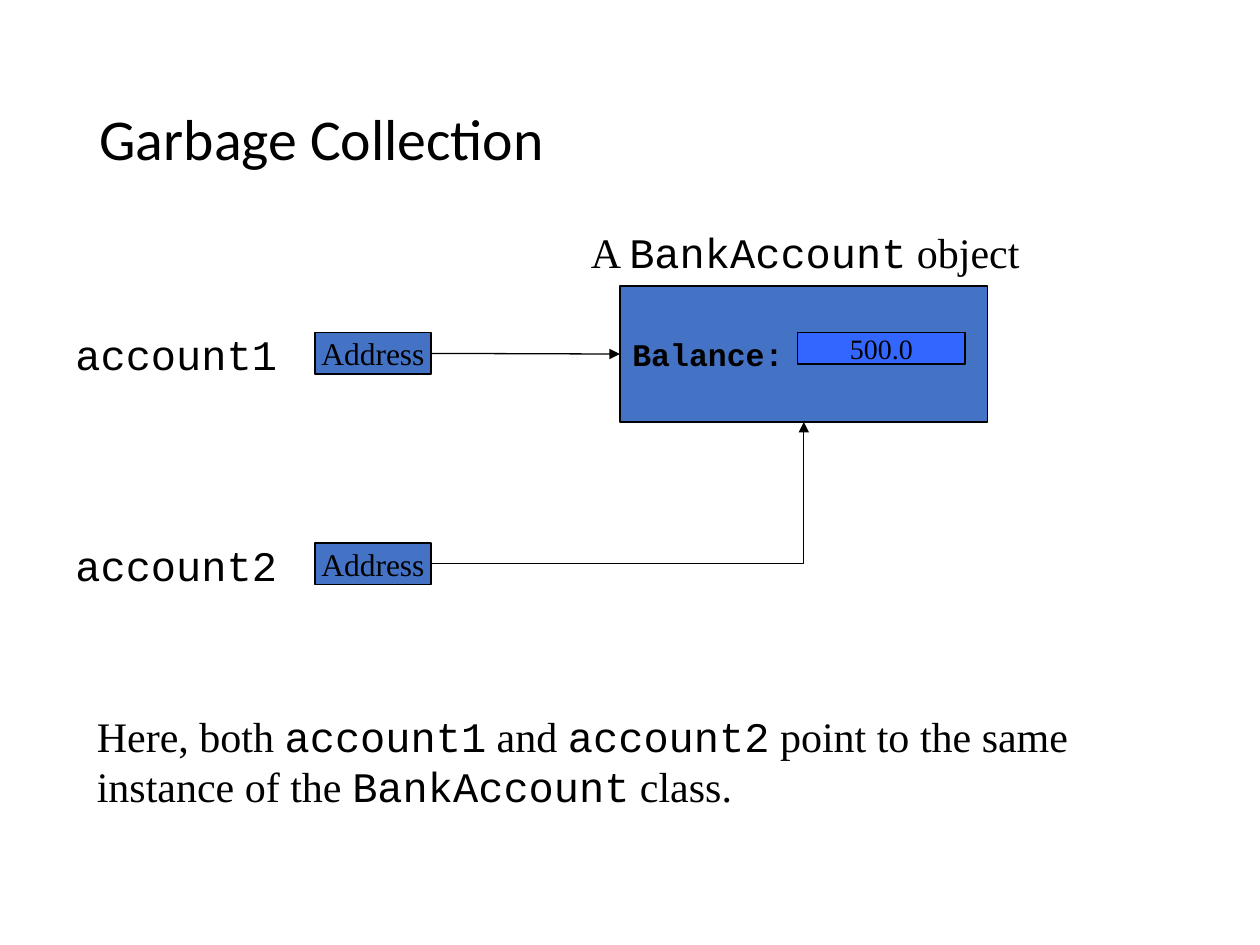
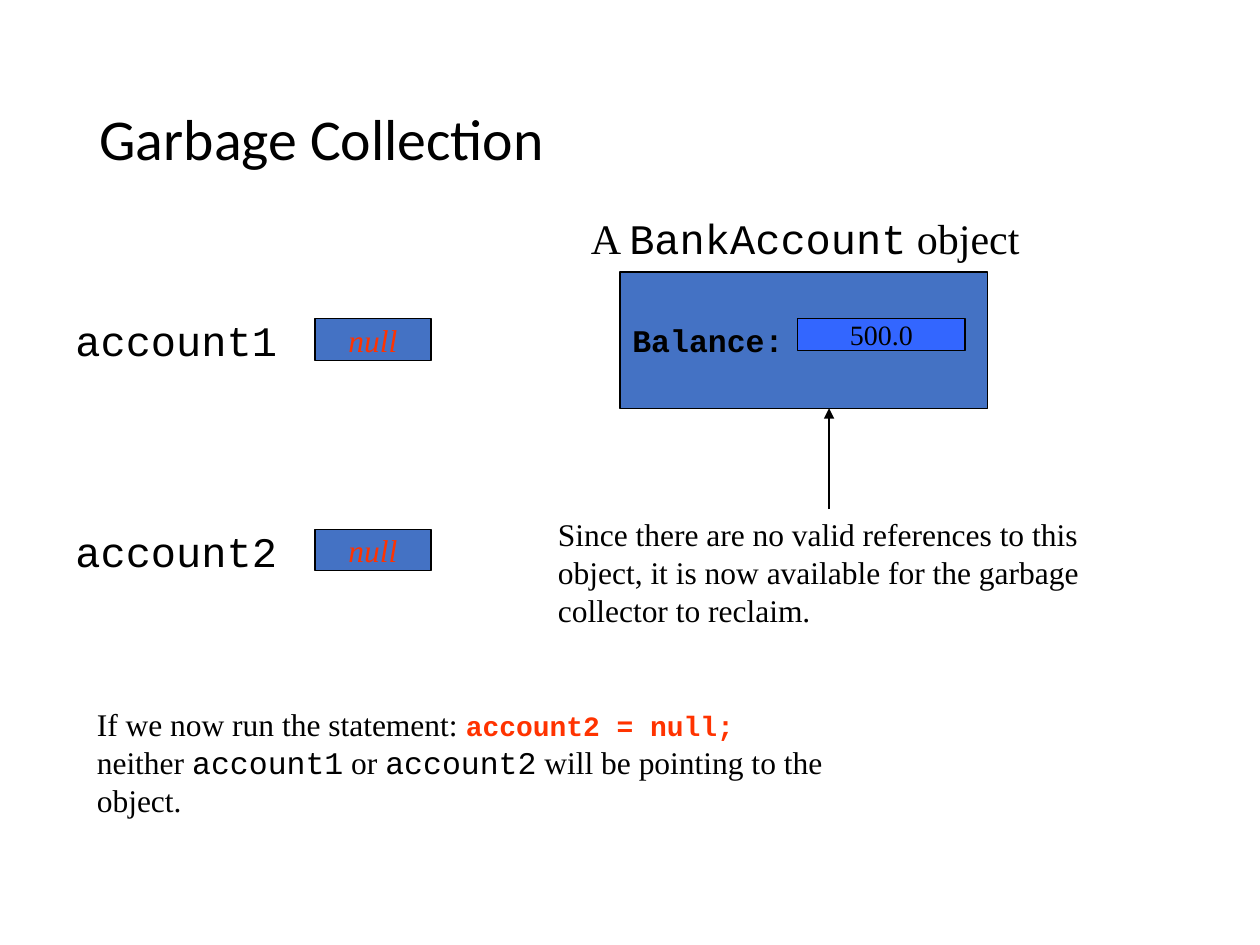
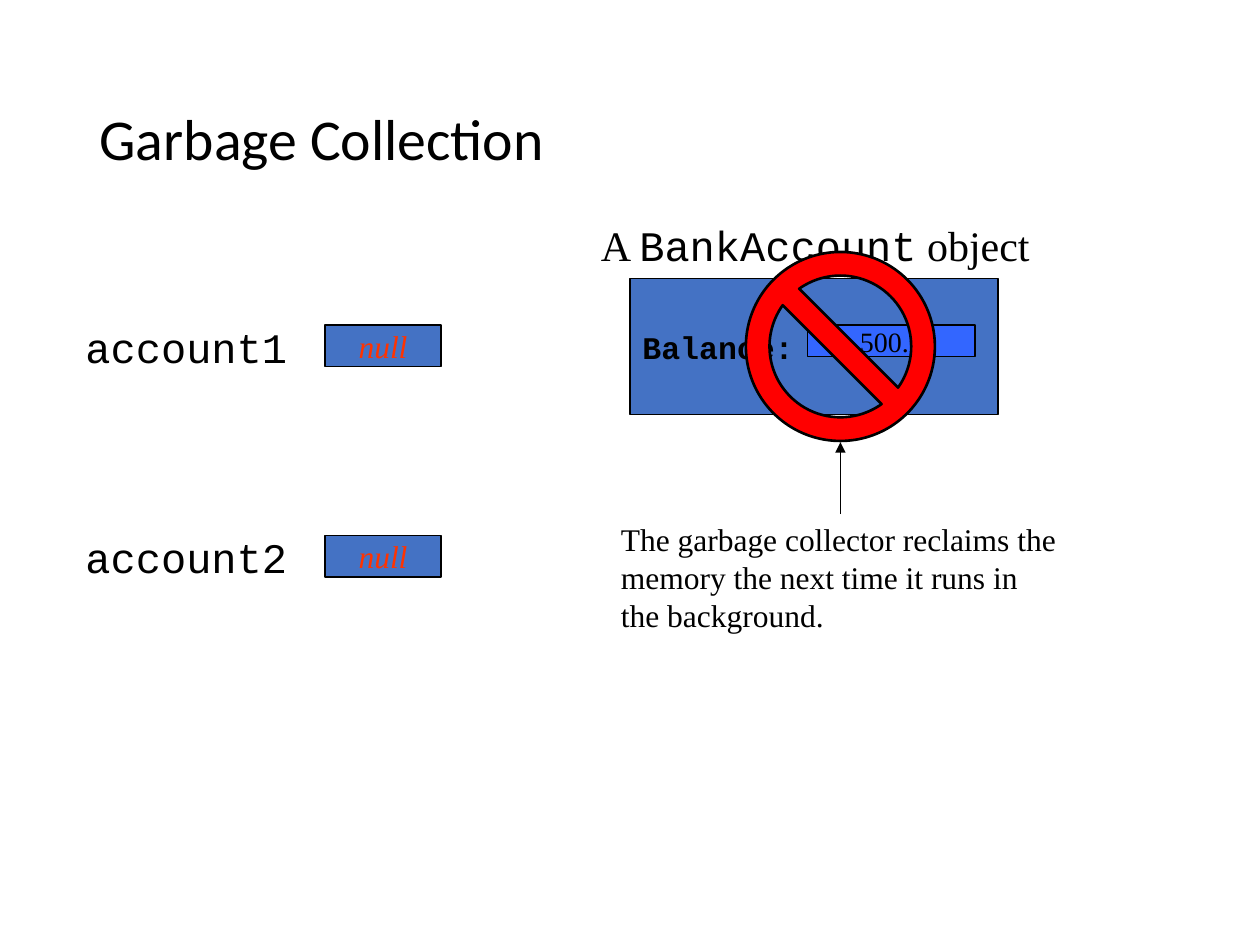
from lxml.etree import SubElement
from pptx import Presentation
from pptx.dml.color import RGBColor
from pptx.enum.shapes import MSO_CONNECTOR as Connector, MSO_SHAPE as Shape
from pptx.enum.text import MSO_ANCHOR as Anchor, MSO_AUTO_SIZE as AutoSize, PP_ALIGN as Align
from pptx.oxml.ns import qn
from pptx.util import Inches, Pt

# Shared style
BLACK = RGBColor(0x00, 0x00, 0x00)
BOX_BLUE = RGBColor(0x44, 0x72, 0xC4)
VALUE_BLUE = RGBColor(0x33, 0x66, 0xFF)
ORANGE = RGBColor(0xFF, 0x33, 0x00)
RED = RGBColor(0xFF, 0x00, 0x00)
SERIF, MONO, SANS = "Times New Roman", "Courier New", "Calibri"
TITLE_ONLY = 5
ROW_GAP = 1.67  # from account1 to account2
LEFT, TOP, BOTTOM, RIGHT = 1, 0, 2, 3  # connection sites of a rectangle


def add_span(para, text, size=18, font=SERIF, color=BLACK, bold=False, italic=False):
    span = para.add_run()
    span.text = text
    span.font.size = Pt(size)
    span.font.name = font
    span.font.color.rgb = color
    span.font.bold = bold
    span.font.italic = italic


def code(text, **style):
    return text, {"font": MONO, **style}


class Deck:
    def __init__(self):
        self.deck = Presentation()
        self.deck.slide_width, self.deck.slide_height = Inches(10), Inches(7.5)
        self.page = None

    def add_page(self, title):
        self.page = self.deck.slides.add_slide(self.deck.slide_layouts[TITLE_ONLY])
        box = self.page.shapes.title
        box.left, box.top = Inches(0.69), Inches(0.4)
        box.width, box.height = Inches(8.63), Inches(1.45)
        frame = box.text_frame
        frame.auto_size = AutoSize.NONE
        frame.vertical_anchor = Anchor.MIDDLE
        para = frame.paragraphs[0]
        para.alignment = Align.LEFT
        para.line_spacing = 0.9
        add_span(para, title, size=33, font=SANS)

    def text(self, left, top, width, height, *lines, size=18, wrap=True):
        """Each line is a list of plain strings and (text, format) pairs."""
        box = self.page.shapes.add_textbox(*map(Inches, (left, top, width, height)))
        frame = box.text_frame
        frame.word_wrap = wrap
        for number, line in enumerate(lines):
            para = frame.add_paragraph() if number else frame.paragraphs[0]
            for part in line:
                text, style = (part, {}) if isinstance(part, str) else part
                add_span(para, text, **{"size": size, **style})

    def shape(self, kind, left, top, width, height, fill, line_width=0.75):
        box = self.page.shapes.add_shape(kind, *map(Inches, (left, top, width, height)))
        box.shadow.inherit = False
        box.fill.solid()
        box.fill.fore_color.rgb = fill
        box.line.color.rgb = BLACK
        box.line.width = Pt(line_width)
        return box

    def label_box(self, left, top, width, height, text, fill=BOX_BLUE,
                  align=Align.CENTER, **style):
        box = self.shape(Shape.RECTANGLE, left, top, width, height, fill)
        frame = box.text_frame
        frame.word_wrap = align == Align.LEFT
        frame.vertical_anchor = Anchor.MIDDLE
        para = frame.paragraphs[0]
        para.alignment = align
        add_span(para, text, **style)
        return box

    def arrow(self, start=(0, 0), end=(0, 0), kind=Connector.STRAIGHT):
        arrow = self.page.shapes.add_connector(kind, *map(Inches, (*start, *end)))
        arrow.line.color.rgb = BLACK
        arrow.line.width = Pt(0.75)
        SubElement(arrow.line._get_or_add_ln(), qn("a:tailEnd"), type="triangle")
        SubElement(arrow._element.spPr, qn("a:effectLst"))
        return arrow

    def link(self, source, target, site, bent=False):
        arrow = self.arrow(kind=Connector.ELBOW if bent else Connector.STRAIGHT)
        arrow.begin_connect(source, RIGHT)
        arrow.end_connect(target, site)
        if bent:  # a single corner
            arrow._element.spPr.find(qn("a:prstGeom")).set("prst", "bentConnector2")

    def memory(self, x, y, value, **style):
        """Two variables and the account object, from the corner x, y."""
        self.text(x + 4.09, y, 3.62, 0.5, ["A ", code("BankAccount"), " object"],
                  size=24, wrap=False)
        account = self.label_box(x + 4.42, y + 0.52, 2.92, 1.08, "Balance:",
                                 align=Align.LEFT, font=MONO, bold=True)
        self.label_box(x + 5.83, y + 0.89, 1.33, 0.25, "500.0", fill=VALUE_BLUE, size=16)
        variables = []
        for row, name in enumerate(("account1", "account2")):
            top = y + 0.81 + row * ROW_GAP
            self.text(x, top, 1.83, 0.5, [code(name)], size=24)
            variables.append(self.label_box(x + 2, top + 0.08, 0.92, 0.33, value, **style))
        return account, variables


def main():
    deck = Deck()
    title = "Garbage Collection"
    null_style = {"color": ORANGE, "italic": True}

    # Both variables point to the object
    deck.add_page(title)
    account, (first, second) = deck.memory(0.5, 1.75, "Address")
    deck.link(first, account, LEFT)
    deck.link(second, account, BOTTOM, bent=True)
    deck.text(0.67, 5.59, 7.91, 0.9,
              ["Here, both ", code("account1"), " and ", code("account2"),
               " point to the same"],
              ["instance of the ", code("BankAccount"), " class."],
              size=24, wrap=False)

    # No references are left
    deck.add_page(title)
    deck.memory(0.5, 1.64, "null", **null_style)
    deck.arrow((6.58, 4.04), (6.58, 3.24))
    deck.text(4.33, 4.04, 4.5, 1,
              ["Since there are no valid references to this"],
              ["object, it is now available for the garbage"],
              ["collector to reclaim."])
    deck.text(0.67, 5.55, 6.69, 0.7,
              ["If we now run the statement: ",
               code("account2 = null;", size=16, color=ORANGE, bold=True)],
              ["neither ", code("account1"), " or ", code("account2"),
               " will be pointing to the object."],
              wrap=False)

    # The object is reclaimed
    deck.add_page(title)
    deck.memory(0.58, 1.69, "null", **null_style)
    stop_sign = deck.shape(Shape.NO_SYMBOL, 5.92, 2, 1.5, 1.5, RED, line_width=1.5)
    stop_sign.adjustments[0] = 0.125
    deck.arrow((6.67, 4.08), (6.67, 3.51))
    deck.text(4.83, 4.08, 3.67, 1,
              ["The garbage collector reclaims the memory the next time "
               "it runs in the background."])

    deck.deck.save("out.pptx")


if __name__ == "__main__":
    main()
